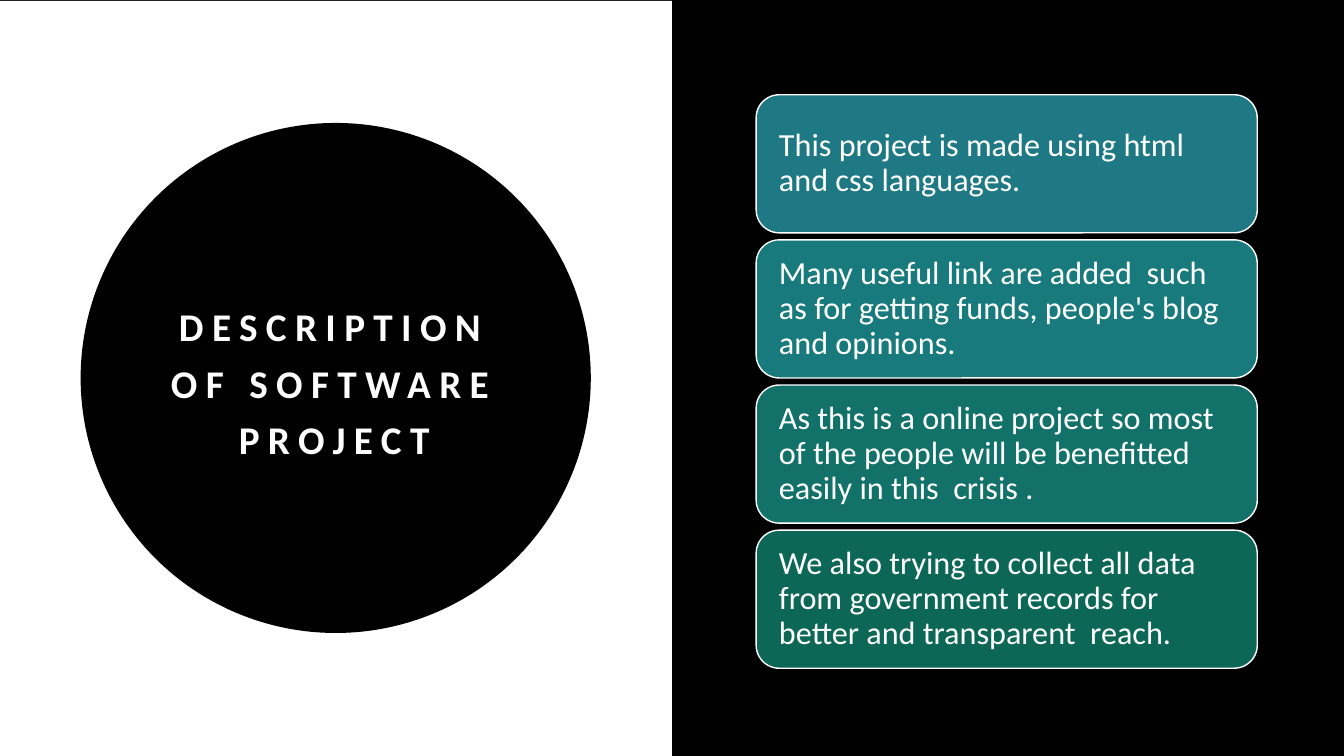
import pptx
import pptx.util
import pptx.dml.color
import pptx.enum.shapes
import pptx.enum.text

Inches, Pt = pptx.util.Inches, pptx.util.Pt
KIND = pptx.enum.shapes.MSO_SHAPE
ALIGN = pptx.enum.text.PP_ALIGN
MIDDLE = pptx.enum.text.MSO_ANCHOR.MIDDLE

# Content
TITLE = "DESCRIPTION OF SOFTWARE PROJECT"
CARDS = [
    ("This project is made using html and css languages.", "card1"),
    ("Many useful link are added  such as for getting funds, "
     "people's blog and opinions.", "card2"),
    ("As this is a online project so most of the people will be "
     "benefitted easily in this  crisis .", "card3"),
    ("We also trying to collect all data from government records "
     "for better and transparent  reach.", "card4"),
]
COLORS = {"black": "000000", "white": "FFFFFF", "card1": "1F7985",
          "card2": "187A7C", "card3": "12726A", "card4": "0D6756"}
FONT = "Calibri"

# Layout, in inches
WIDE, HIGH = 13.33, 7.5
CARD_LEFT, CARD_TOP, CARD_WIDE, CARD_HIGH = 7.5, 0.94, 4.97, 1.37
STEP = 1.44
INSET = 0.16


def color(name):
    return pptx.dml.color.RGBColor.from_string(COLORS[name])


def add_box(slide, kind, box, fill, line=None):
    shape = slide.shapes.add_shape(kind, *map(Inches, box))
    shape.shadow.inherit = False
    shape.fill.solid()
    shape.fill.fore_color.rgb = color(fill)
    if line:
        shape.line.color.rgb = color(line)
        shape.line.width = Pt(1)
    else:
        shape.line.fill.background()
    return shape


def set_text(shape, text, size, align, space, bold=False):
    frame = shape.text_frame
    frame.text = text
    frame.word_wrap = True
    frame.auto_size = pptx.enum.text.MSO_AUTO_SIZE.NONE
    frame.vertical_anchor = MIDDLE
    para = frame.paragraphs[0]
    para.alignment = align
    para.line_spacing = space
    para.font.name = FONT
    para.font.size = Pt(size)
    para.font.bold = bold
    para.font.color.rgb = color("white")
    return para


def main():
    deck = pptx.Presentation()
    deck.slide_width, deck.slide_height = Inches(WIDE), Inches(HIGH)
    slide = deck.slides.add_slide(deck.slide_layouts[5])
    slide.background.fill.solid()
    slide.background.fill.fore_color.rgb = color("black")

    # White half and black disc
    add_box(slide, KIND.RECTANGLE, (0, 0.01, WIDE / 2, HIGH - 0.01), "white")
    add_box(slide, KIND.OVAL, (0.8, 1.22, 5.06, 5.06), "black")

    # Title, brought in front of the disc
    title = slide.shapes.title
    title.left, title.top = Inches(1.32), Inches(2.5)
    title.width, title.height = Inches(3.99), Inches(2.5)
    para = set_text(title, TITLE, 28, ALIGN.CENTER, 1.2, bold=True)
    para.runs[0]._r.get_or_add_rPr().set("spc", "600")
    title.element.getparent().append(title.element)

    # Column of cards
    for row, (text, fill) in enumerate(CARDS):
        box = (CARD_LEFT, CARD_TOP + row * STEP, CARD_WIDE, CARD_HIGH)
        card = add_box(slide, KIND.ROUNDED_RECTANGLE, box, fill, "white")
        set_text(card, text, 23, ALIGN.LEFT, 0.9)
        frame = card.text_frame
        frame.margin_left = frame.margin_right = Inches(INSET)

    deck.save("out.pptx")


if __name__ == "__main__":
    main()
